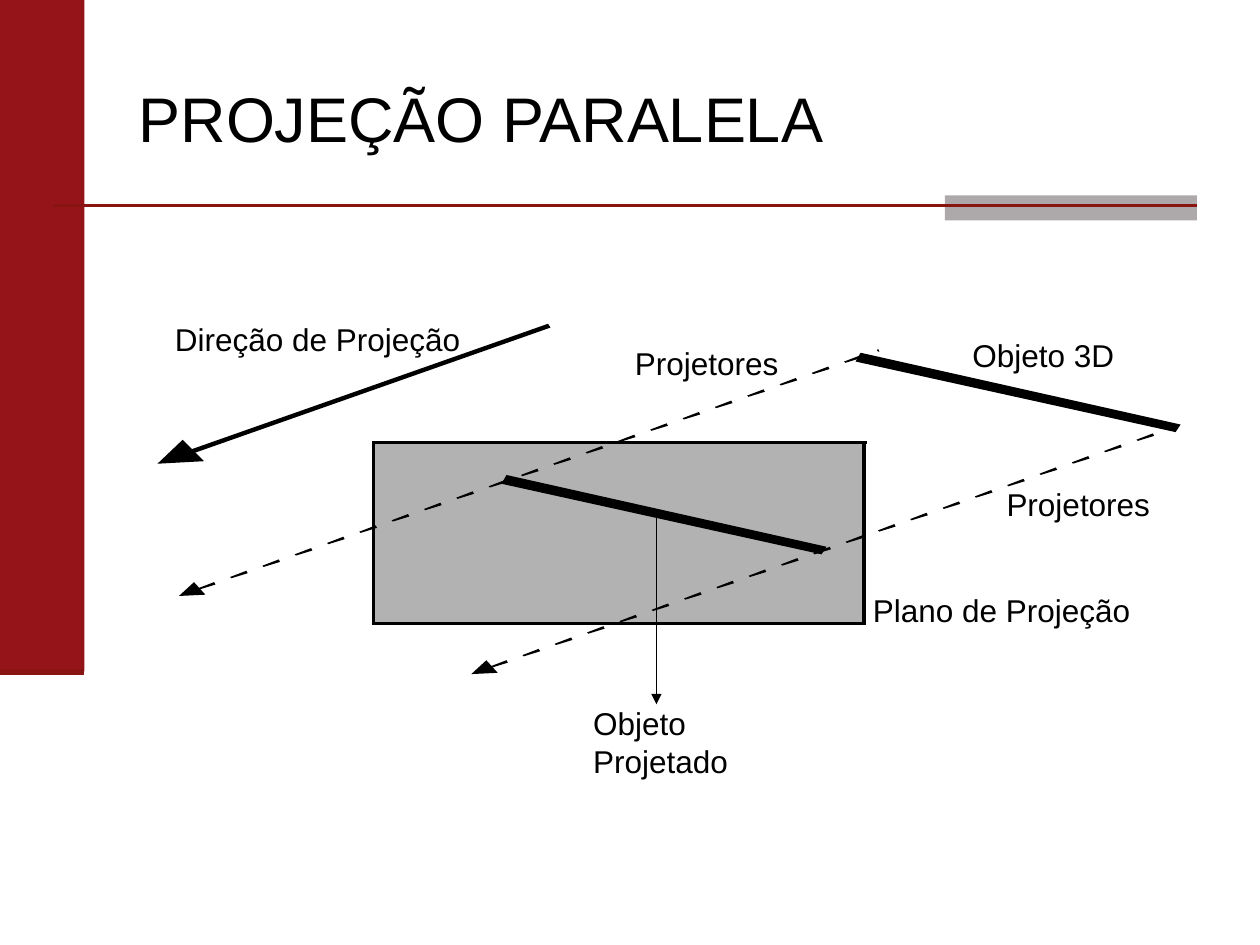
from lxml import etree
from pptx import Presentation
from pptx import util as u
from pptx.dml.color import RGBColor
from pptx.enum import shapes, text
from pptx.oxml.ns import qn

FONT = "Arial"
BLACK, RED, DARK_RED = "000000", "94141A", "891411"
GREY, PLANE_GREY = "ADA9AB", "B2B2B2"

# Outlines, relative to the point where each is placed
SEGMENT = [(0.04, 0), (2.58, 0.57), (2.54, 0.63), (0, 0.07)]
DASH = [(0.13, 0), (0.14, 0.02), (0.01, 0.06), (0, 0.05)]
DOT = [(0.01, 0), (0.02, 0.02), (0.01, 0.02), (0, 0.01)]
PROJECTOR_HEAD = [(-0.15, 0.11), (-0.03, 0), (0.06, 0.1)]
DIRECTION_HEAD = [(0, 0.19), (0.2, 0), (0.37, 0.17)]
DIRECTION_SHAFT = [(2.84, 0), (0, 1), (0.02, 1.03), (2.86, 0.03)]

# A projector runs over this distance in equal dash steps
PROJECTOR_RUN, PROJECTOR_RISE, DASH_STEPS = 5.13, 1.8, 20


def color(hex_value):
    return RGBColor.from_string(hex_value)


def paint(shape, fill):
    shape.shadow.inherit = False
    shape.fill.solid()
    shape.fill.fore_color.rgb = color(fill)
    shape.line.fill.background()


def add_rectangle(slide, left, top, width, height, fill):
    box = [u.Inches(value) for value in (left, top, width, height)]
    paint(slide.shapes.add_shape(shapes.MSO_SHAPE.RECTANGLE, *box), fill)


def add_polygon(slide, outline, left, top):
    corners = [(u.Inches(left + x), u.Inches(top + y)) for x, y in outline]
    builder = slide.shapes.build_freeform(*corners[0], scale=1.0)
    builder.add_line_segments(corners[1:], close=True)
    paint(builder.convert_to_shape(), BLACK)


def add_line(slide, start, end, line_color, width, arrow=False):
    ends = [u.Inches(value) for value in (*start, *end)]
    connector = slide.shapes.add_connector(shapes.MSO_CONNECTOR.STRAIGHT, *ends)
    connector.line.color.rgb = color(line_color)
    connector.line.width = u.Pt(width)
    if arrow:
        properties = connector.line._get_or_add_ln()
        etree.SubElement(properties, qn("a:tailEnd"), type="triangle")
    etree.SubElement(connector._element.spPr, qn("a:effectLst"))


def format_text(shape, content, size):
    frame = shape.text_frame
    frame.text = content
    frame.word_wrap = True
    frame.auto_size = text.MSO_AUTO_SIZE.NONE
    font = frame.paragraphs[0].runs[0].font
    font.name, font.size = FONT, u.Pt(size)
    font.color.rgb = color(BLACK)


def add_label(slide, content, left, top, width, height=0.4):
    box = [u.Inches(value) for value in (left, top, width, height)]
    format_text(slide.shapes.add_textbox(*box), content, 18)


def set_title(slide, content):
    title = slide.shapes.title
    title.left, title.top = u.Inches(1), u.Inches(0.31)
    title.width, title.height = u.Inches(8.5), u.Inches(1.25)
    format_text(title, content, 36)
    title.text_frame.vertical_anchor = text.MSO_ANCHOR.MIDDLE
    title.text_frame.paragraphs[0].alignment = text.PP_ALIGN.JUSTIFY


def add_background(slide):
    add_rectangle(slide, 0, 0, 0.67, 5.33, RED)
    add_rectangle(slide, 7.5, 1.55, 2, 0.2, GREY)
    add_line(slide, (0.42, 1.63), (9.5, 1.63), DARK_RED, 1.5)
    add_line(slide, (0, 5.33), (0.67, 5.33), DARK_RED, 3.5)


def add_plane(slide):
    """Grey plane with thin horizontal and thicker vertical edges."""
    add_rectangle(slide, 2.97, 3.51, 3.89, 1.44, PLANE_GREY)
    horizontal = [(0, 0), (3.91, 0), (3.91, 0.02), (0, 0.02)]
    vertical = [(0, 0), (0.03, 0), (0.03, 1.45), (0, 1.45)]
    add_polygon(slide, horizontal, 2.97, 3.5)
    add_polygon(slide, vertical, 6.84, 3.51)
    add_polygon(slide, horizontal, 2.95, 4.94)
    add_polygon(slide, vertical, 2.95, 3.5)


def add_projector(slide, left, top):
    """Dashed arrow rising to the right from its lower left end."""
    add_polygon(slide, PROJECTOR_HEAD, left, top)
    for step in range(DASH_STEPS + 1):
        share = step / DASH_STEPS
        add_polygon(slide, DASH, left + PROJECTOR_RUN * share,
                    top - PROJECTOR_RISE * share)
    add_polygon(slide, DOT, left + 5.39, top - 1.85)


def main():
    presentation = Presentation()
    presentation.slide_width = u.Inches(10)
    presentation.slide_height = u.Inches(7.5)
    slide = presentation.slides.add_slide(presentation.slide_layouts[5])
    add_background(slide)
    set_title(slide, "PROJEÇÃO PARALELA")
    add_plane(slide)

    # Projectors and projection direction
    add_projector(slide, 3.89, 5.24)
    add_polygon(slide, DIRECTION_HEAD, 1.25, 3.49)
    add_polygon(slide, DIRECTION_SHAFT, 1.51, 2.57)
    add_projector(slide, 1.57, 4.62)

    # Object and its projection
    add_polygon(slide, SEGMENT, 6.79, 2.8)
    add_polygon(slide, SEGMENT, 3.98, 3.77)

    # Labels
    add_label(slide, "Projetores", 7.89, 3.8, 1.84)
    add_label(slide, "Projetores", 4.94, 2.68, 1.84)
    add_label(slide, "Plano de Projeção", 6.83, 4.64, 2.24)
    add_label(slide, "Direção de Projeção", 1.29, 2.49, 2.47)
    add_label(slide, "Objeto 3D", 7.62, 2.62, 1.33)
    add_label(slide, "Objeto Projetado", 4.61, 5.54, 1.58, 0.7)
    add_line(slide, (5.21, 4.08), (5.21, 5.59), BLACK, 0.75, arrow=True)

    presentation.save("out.pptx")


if __name__ == "__main__":
    main()
